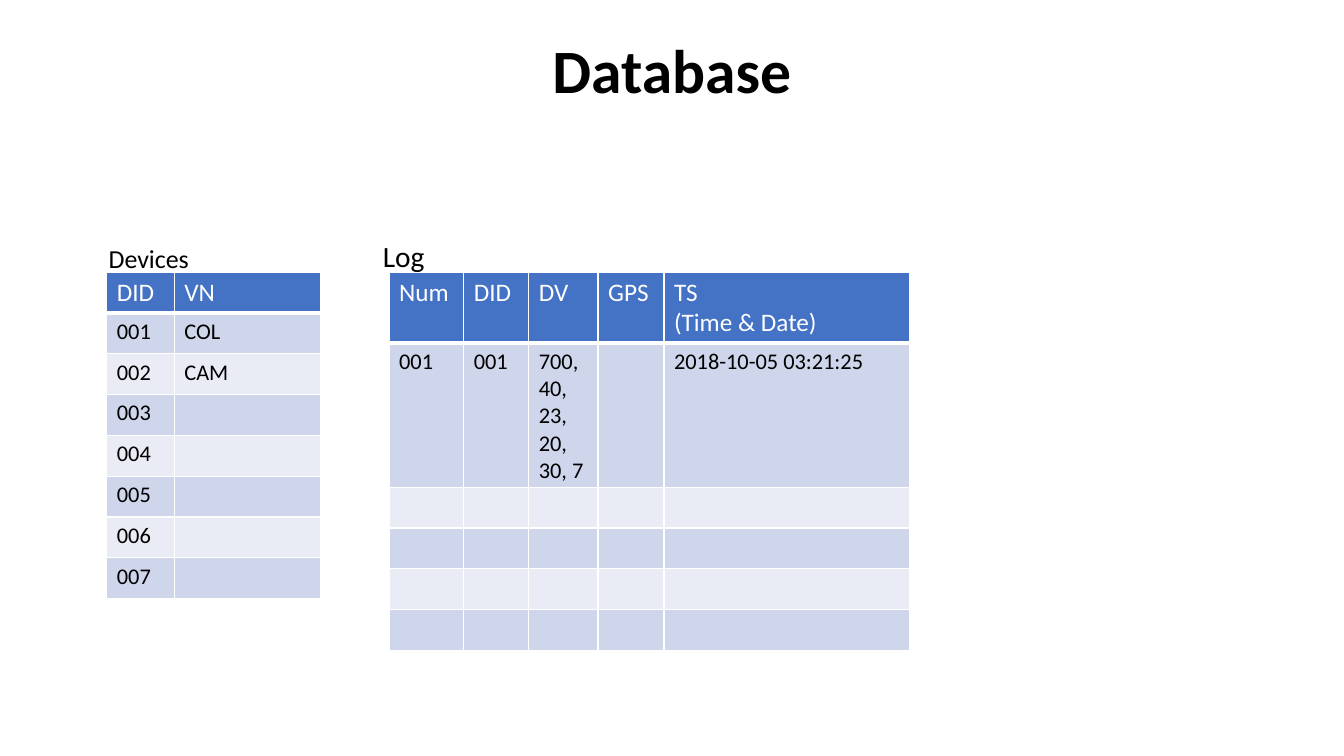
from dataclasses import dataclass

from lxml.etree import SubElement
from pptx import Presentation
from pptx.dml.color import RGBColor
from pptx.enum.text import MSO_ANCHOR, PP_ALIGN
from pptx.oxml.ns import qn
from pptx.util import Inches, Pt

GRID_COLUMNS, GRID_ROWS = 160, 90
GRID_UNIT = Inches(7.5) / GRID_ROWS
TABLE_TOP = 32.4
TABLE_ROW = 4.86


@dataclass(frozen=True)
class Theme:
    font: str = "Calibri"
    ink: str = "000000"
    white: str = "FFFFFF"
    header: str = "4472C4"
    bands: tuple = ("CFD5EA", "E9EBF5")
    title_size: float = 44
    log_label_size: float = 21
    devices_label_size: float = 18.5
    header_size: float = 18
    body_size: float = 16
    border: float = 1
    header_border: float = 3


THEME = Theme()


def grid(count):
    return round(count * GRID_UNIT)


def write_text(frame, text, *, size, color=THEME.ink, bold=False,
               align=PP_ALIGN.LEFT, line_spacing=1.0):
    """Fill a text frame, one paragraph for each line of text."""
    frame.word_wrap = True
    for index, line in enumerate(text.split("\n")):
        paragraph = frame.add_paragraph() if index else frame.paragraphs[0]
        paragraph.alignment = align
        paragraph.line_spacing = line_spacing
        run = paragraph.add_run()
        run.text = line
        run.font.name = THEME.font
        run.font.size = Pt(size)
        run.font.bold = bold
        run.font.color.rgb = RGBColor.from_string(color)


def add_text(slide, text, left, top, width, height,
             anchor=MSO_ANCHOR.TOP, **text_format):
    box = slide.shapes.add_textbox(*map(grid, (left, top, width, height)))
    box.text_frame.vertical_anchor = anchor
    write_text(box.text_frame, text, **text_format)


def set_borders(cell, bottom_width):
    """Draw white lines on all four sides; they must precede the cell fill."""
    properties = cell._tc.get_or_add_tcPr()
    for side in ("lnL", "lnR", "lnT", "lnB"):
        width = bottom_width if side == "lnB" else THEME.border
        line = SubElement(properties, qn(f"a:{side}"), w=str(Pt(width)))
        fill = SubElement(line, qn("a:solidFill"))
        SubElement(fill, qn("a:srgbClr"), val=THEME.white)


def style_cell(cell, text, row):
    is_header = row == 0
    set_borders(cell, THEME.header_border if is_header else THEME.border)
    fill_color = THEME.header if is_header else THEME.bands[(row - 1) % 2]
    cell.fill.solid()
    cell.fill.fore_color.rgb = RGBColor.from_string(fill_color)
    if text:
        write_text(cell.text_frame, text,
                   size=THEME.header_size if is_header else THEME.body_size,
                   color=THEME.white if is_header else THEME.ink)


def add_banded_table(slide, left, column_widths, records):
    """Add a table; records shorter than the header leave empty cells."""
    table = slide.shapes.add_table(
        len(records), len(column_widths), grid(left), grid(TABLE_TOP),
        grid(sum(column_widths)), grid(TABLE_ROW * len(records))).table
    for column, width in zip(table.columns, column_widths):
        column.width = grid(width)
    for row, record in enumerate(records):
        table.rows[row].height = grid(TABLE_ROW)
        for column in range(len(column_widths)):
            text = record[column] if column < len(record) else ""
            style_cell(table.cell(row, column), text, row)


def main():
    presentation = Presentation()
    presentation.slide_width = grid(GRID_COLUMNS)
    presentation.slide_height = grid(GRID_ROWS)
    slide = presentation.slides.add_slide(presentation.slide_layouts[6])

    add_text(slide, "Database", 11, 0, 138, 17.4, anchor=MSO_ANCHOR.MIDDLE,
             size=THEME.title_size, bold=True, align=PP_ALIGN.CENTER,
             line_spacing=0.9)

    names = ["COL", "CAM"] + [""] * 5
    devices = [(f"{number:03}", name) for number, name in enumerate(names, 1)]
    add_banded_table(slide, 12.72, (8.04, 17.4), [("DID", "VN"), *devices])

    log = [
        ("Num", "DID", "DV", "GPS", "TS\n(Time & Date)"),
        ("001", "001", "700, 40, 23, 20, 30, 7", "", "2018-10-05 03:21:25"),
    ]
    add_banded_table(slide, 46.32, (8.9, 7.74, 8.25, 7.85, 29.28),
                     log + [()] * 4)

    add_text(slide, "Devices", 11.76, 28.56, 12.48, 5.76,
             size=THEME.devices_label_size, line_spacing=0.94)
    add_text(slide, "Log", 44.4, 28.56, 11.16, 4.8,
             size=THEME.log_label_size, line_spacing=0.8)

    presentation.save("out.pptx")


if __name__ == "__main__":
    main()
